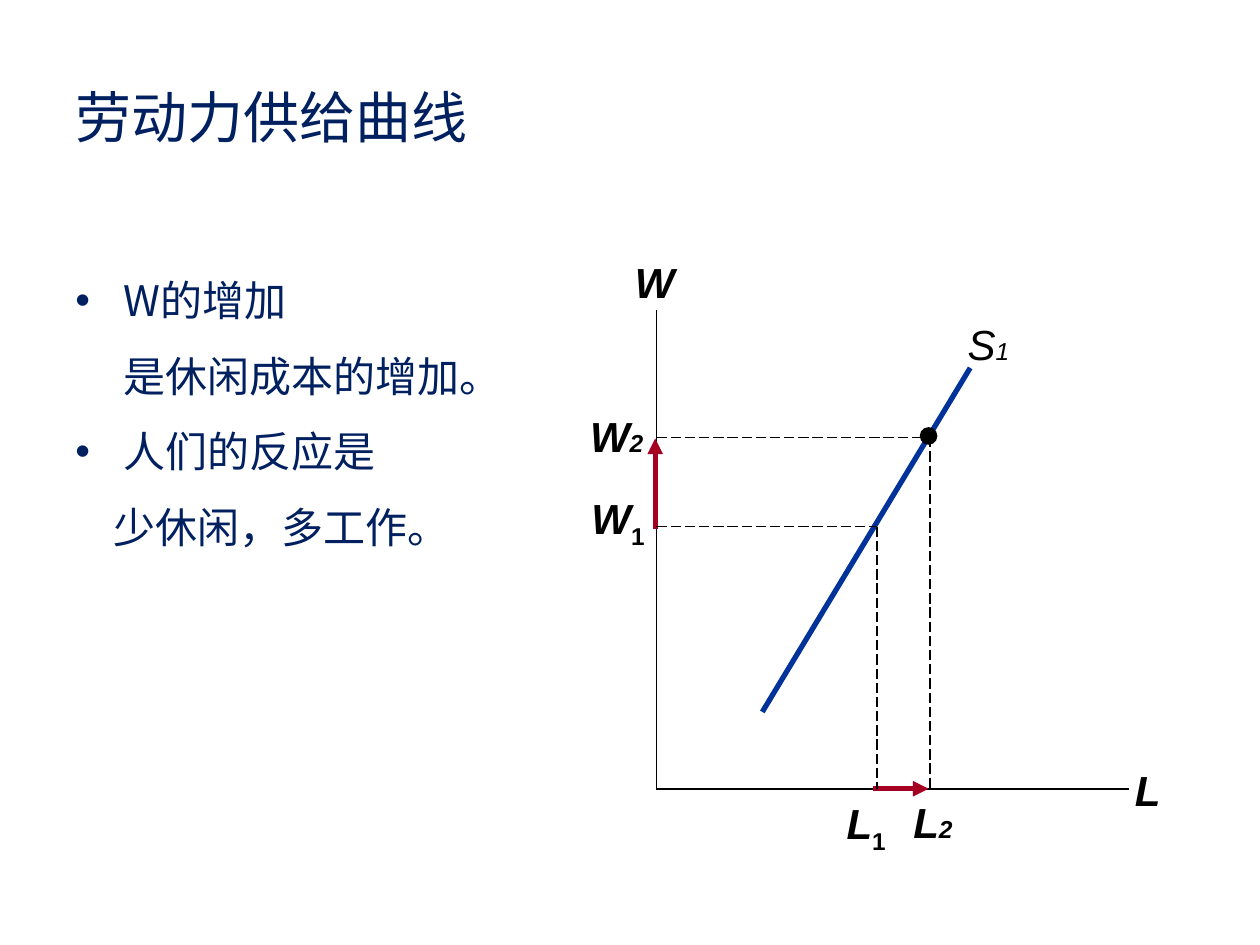
from lxml.etree import SubElement
from pptx import Presentation
from pptx.dml.color import RGBColor
from pptx.enum.dml import MSO_LINE
from pptx.enum.shapes import MSO_CONNECTOR, MSO_SHAPE
from pptx.enum.text import MSO_ANCHOR, PP_ALIGN
from pptx.oxml.ns import qn
from pptx.util import Inches, Pt

CJK, LATIN = "Noto Sans CJK SC", "Arial"
NAVY, BLACK, BLUE, RED = "002060", "000000", "003399", "A50021"
ORIGIN_X, AXIS_Y = 5.21, 6.26


def color(value):
    return RGBColor.from_string(value)


def add_run(p, text, size, font=LATIN, fill=BLACK, bold=False, italic=False):
    r = p.add_run()
    r.text = text
    r.font.size = Pt(size)
    r.font.name = font
    r.font.bold = bold
    r.font.italic = italic
    r.font.color.rgb = color(fill)
    if font == CJK:
        SubElement(r.font._element, qn("a:ea"), typeface=font)
    return r


def add_title(s, text):
    sp = s.shapes.title
    sp.left, sp.top, sp.width, sp.height = map(Inches, (0.5, 0.3, 9, 1.25))
    tf = sp.text_frame
    tf.vertical_anchor = MSO_ANCHOR.MIDDLE
    p = tf.paragraphs[0]
    p.alignment = PP_ALIGN.LEFT
    add_run(p, text, 32, CJK, NAVY)


def add_text_box(s, left, top, width, height):
    sp = s.shapes.add_textbox(*map(Inches, (left, top, width, height)))
    sp.text_frame.word_wrap = True
    return sp.text_frame


def set_indent(p, left, bullet=None):
    """Indent a paragraph, hanging its bullet in the indent if it has one."""
    pPr = p._p.get_or_add_pPr()
    pPr.set("marL", str(Inches(left)))
    pPr.set("indent", str(-Inches(left) if bullet else 0))
    if bullet:
        SubElement(pPr, qn("a:buFont"), typeface=LATIN)
        SubElement(pPr, qn("a:buChar"), char=bullet)


def add_body(s):
    tf = add_text_box(s, 0.5, 1.93, 3.3, 3.74)
    paragraphs = [
        (["W的增加", "是休闲成本的增加。"], 0.38, "•"),
        (["人们的反应是"], 0.38, "•"),
        (["少休闲，多工作。"], 0.3, None),
    ]
    for i, (lines, indent, bullet) in enumerate(paragraphs):
        p = tf.add_paragraph() if i else tf.paragraphs[0]
        set_indent(p, indent, bullet)
        p.line_spacing = 1.5
        for j, line in enumerate(lines):
            if j:
                p.add_line_break()
            add_run(p, line, 24, CJK, NAVY)


def add_line(s, start, end, fill=BLACK, width=1, dashed=False, arrow=False):
    sp = s.shapes.add_connector(MSO_CONNECTOR.STRAIGHT,
                                *map(Inches, (*start, *end)))
    sp.line.color.rgb = color(fill)
    sp.line.width = Pt(width)
    if dashed:
        sp.line.dash_style = MSO_LINE.LONG_DASH
    if arrow:
        SubElement(sp.line._get_or_add_ln(), qn("a:tailEnd"), type="triangle")
    SubElement(sp._element.spPr, qn("a:effectLst"))


def add_label(s, at, letter, index="", bold=True, subscript=False, inset=0):
    """Add a curve, axis or tick label with an optional index."""
    tf = add_text_box(s, *at)
    tf.margin_left = tf.margin_right = Inches(inset)
    tf.margin_top = tf.margin_bottom = Inches(inset / 2)
    p = tf.paragraphs[0]
    p.alignment = PP_ALIGN.CENTER
    add_run(p, letter, 24, bold=bold, italic=True)
    if subscript:
        r = add_run(p, index, 24, bold=bold)
        r.font._element.set("baseline", "-25000")
    elif index:
        add_run(p, index, 14, bold=bold, italic=True)


def add_point(s, x, y, size):
    sp = s.shapes.add_shape(
        MSO_SHAPE.OVAL,
        *map(Inches, (x - size / 2, y - size / 2, size, size)))
    sp.shadow.inherit = False
    sp.fill.solid()
    sp.fill.fore_color.rgb = color(BLACK)
    sp.line.fill.background()


def add_supply_chart(s):
    add_line(s, (ORIGIN_X, 2.46), (ORIGIN_X, AXIS_Y))
    add_line(s, (ORIGIN_X, AXIS_Y), (8.96, AXIS_Y))
    add_label(s, (4.94, 1.99, 0.46, 0.5), "W", inset=0.1)
    add_label(s, (8.86, 6.02, 0.5, 0.5), "L", inset=0.1)

    add_line(s, (6.05, 5.65), (7.7, 2.92), BLUE, 3)
    add_label(s, (7.53, 2.48, 0.63, 0.5), "S", "1", bold=False, inset=0.1)

    add_line(s, (6.93, AXIS_Y), (7.37, AXIS_Y), RED, 3, arrow=True)
    add_line(s, (5.2, 4.2), (5.2, 3.48), RED, 3, arrow=True)

    for x, y in [(7.38, 3.47), (6.96, 4.18)]:
        add_line(s, (ORIGIN_X, y), (x, y), width=0.75, dashed=True)
        add_line(s, (x, y), (x, AXIS_Y), width=0.75, dashed=True)
    add_point(s, 7.37, 3.46, 0.14)

    for left, top, letter, index in [
        (4.63, 3.26, "W", "2"),
        (7.14, 6.32, "L", "2"),
        (4.64, 3.91, "W", "1"),
        (6.61, 6.33, "L", "1"),
    ]:
        add_label(s, (left, top, 0.53, 0.4), letter, index,
                  subscript=index == "1")


def main():
    prs = Presentation()
    prs.slide_width, prs.slide_height = Inches(10), Inches(7.5)
    s = prs.slides.add_slide(prs.slide_layouts[5])
    add_title(s, "劳动力供给曲线")
    add_body(s)
    add_supply_chart(s)
    prs.save("out.pptx")


if __name__ == "__main__":
    main()
